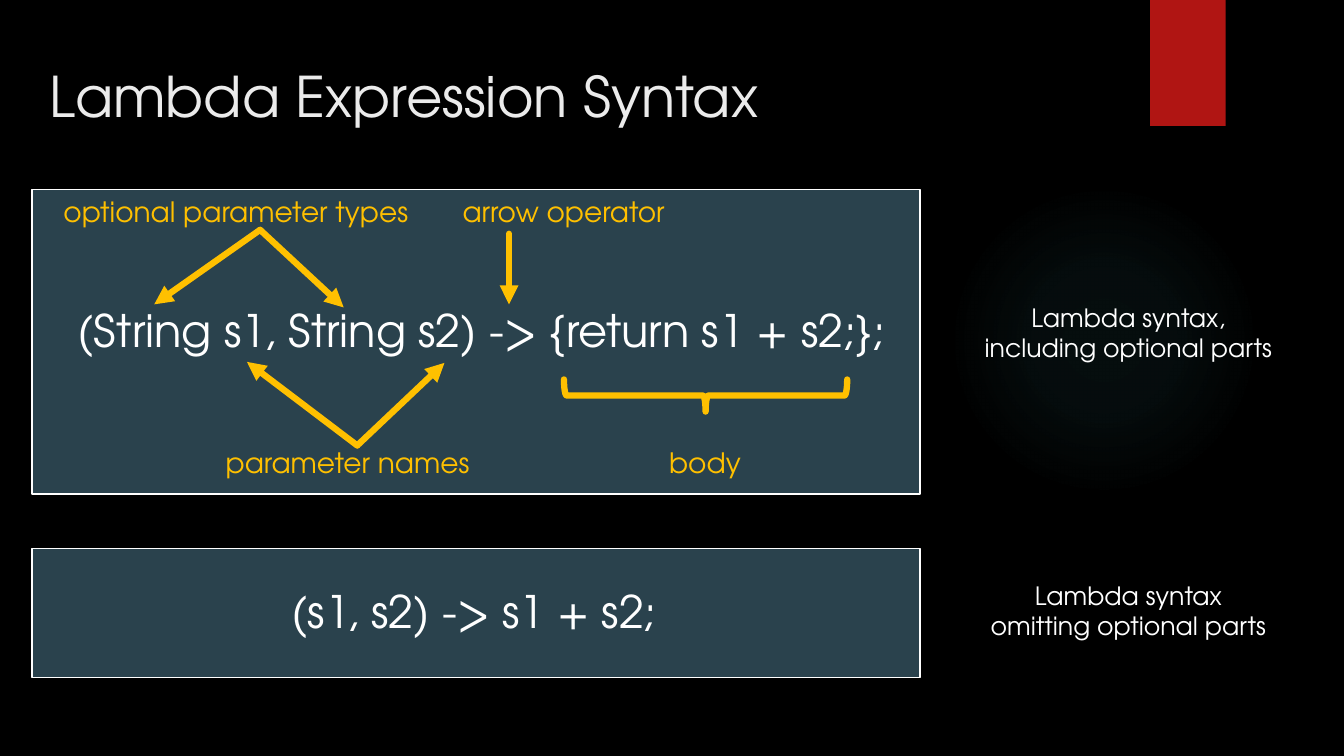
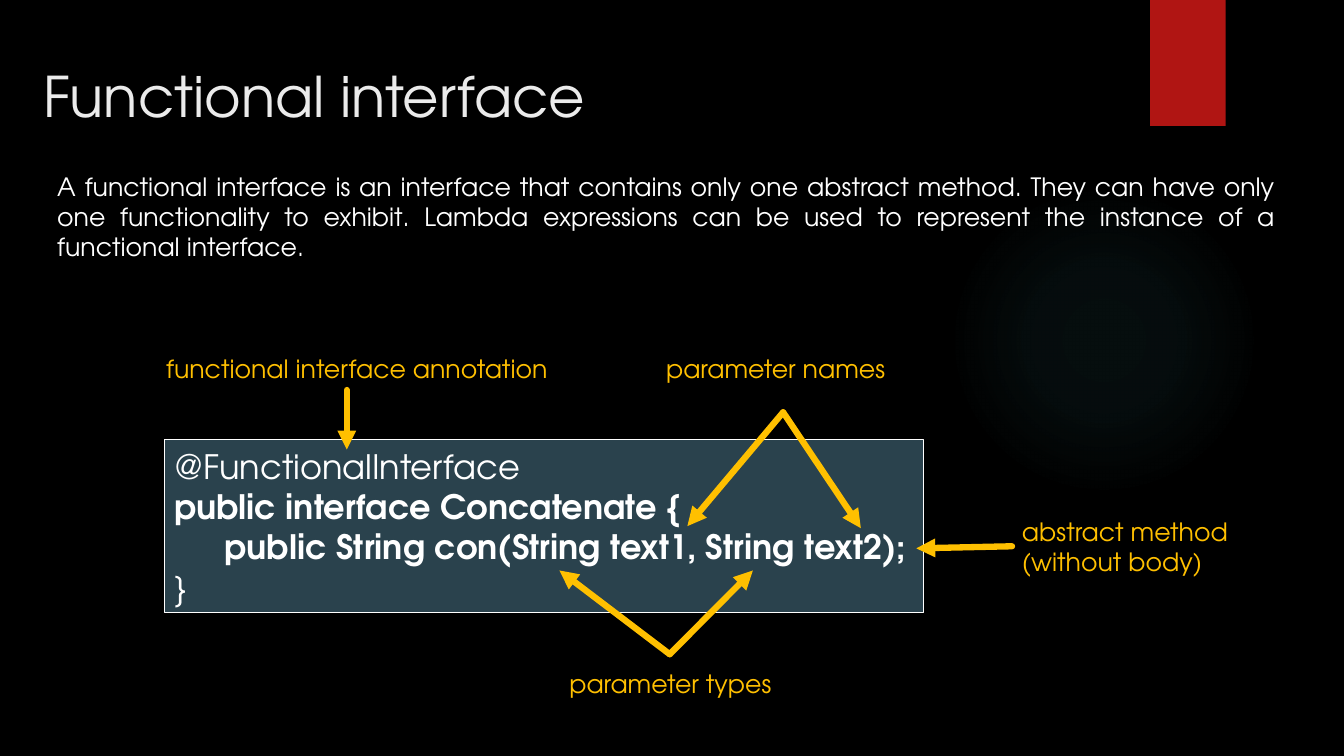
from lxml import etree
from pptx import Presentation
from pptx.dml.color import RGBColor
from pptx.enum.shapes import MSO_CONNECTOR, MSO_SHAPE
from pptx.enum.text import MSO_ANCHOR, MSO_AUTO_SIZE, PP_ALIGN
from pptx.oxml import parse_xml
from pptx.oxml.ns import nsdecls, qn
from pptx.util import Pt

RECT, OVAL, BRACE = MSO_SHAPE.RECTANGLE, MSO_SHAPE.OVAL, MSO_SHAPE.RIGHT_BRACE
STRAIGHT = MSO_CONNECTOR.STRAIGHT
LEFT, CENTER, JUSTIFY = PP_ALIGN.LEFT, PP_ALIGN.CENTER, PP_ALIGN.JUSTIFY
TOP, MIDDLE = MSO_ANCHOR.TOP, MSO_ANCHOR.MIDDLE
NO_FIT = MSO_AUTO_SIZE.NONE

FONT = "TeX Gyre Adventor"
BLACK, WHITE, TITLE = "000000", "FFFFFF", "EBEBEB"
RED, SLATE, AMBER, TEAL = "B01513", "2A424D", "FFC000", "50B9C1"
STROKE = 4.5
CODE_INDENT = 36

GLOW = (677.5, 131.8, 221.8, 221.8)
GLOW_STOPS = [(0, 7), (36, 6), (69, 0)]  # position %, opacity %
RIBBON = (821.5, 0, 54, 90)

# Boxes are (left, top, width, height).
# Texts are (text, box, size, colour, alignment).
# Code lines are (text, bold, indent level).
# Arrows are (start, [targets]).
SLIDES = [
    {
        "title": ("Lambda Expression Syntax", (28, 36, 795.6, 63.4)),
        "panels": [
            ((23, 391.7, 634.3, 92.2), []),
            ((23, 135.4, 634.3, 217.4), []),
        ],
        "texts": [
            ("(String s1, String s2) -> {return s1 + s2;};",
             (48.2, 212.4, 663.1, 46), 32, WHITE, LEFT),
            ("(s1, s2) -> s1 + s2;",
             (200.9, 413.3, 279.4, 46), 32, WHITE, LEFT),
            ("optional parameter types",
             (38.2, 135.4, 275, 31.7), 20, AMBER, LEFT),
            ("arrow operator", (323.3, 135.4, 216.7, 31.7), 20, AMBER, LEFT),
            ("parameter names", (154.1, 314.6, 215.3, 31.7), 20, AMBER, LEFT),
            ("body", (470.9, 314.6, 79.2, 31.7), 20, AMBER, LEFT),
            ("Lambda syntax, including optional parts",
             (695.5, 212.4, 221, 72.7), 18, WHITE, CENTER),
            ("Lambda syntax omitting optional parts",
             (695.5, 411.1, 221, 72.7), 18, WHITE, CENTER),
        ],
        "arrows": [
            ((185.8, 164.2), [(110.2, 217.4), (245.5, 219.6)]),
            ((255.2, 318.2), [(176.4, 258.5), (317.5, 259.2)]),
            ((363.6, 167), [(363.6, 217.4)]),
        ],
        "braces": [(492.5, 181.4, 23, 202.3)],
    },
    {
        "title": ("Functional interface", (23.8, 36, 809.3, 63.4)),
        "panels": [
            ((117.4, 313.9, 542.2, 123.8), [
                ("@FunctionalInterface", False, 0),
                ("public interface Concatenate {", True, 0),
                ("public String con(String text1, String text2);", True, 1),
                ("}", False, 0),
            ]),
        ],
        "texts": [
            ("A functional interface is an interface that contains only one "
             "abstract method. They can have only one functionality to "
             "exhibit. Lambda expressions can be used to represent the "
             "instance of a functional interface.",
             (33.8, 118.8, 884.2, 72.7), 18, WHITE, JUSTIFY),
            ("abstract method (without body)",
             (722.9, 365, 173.5, 51.1), 18, AMBER, LEFT),
            ("functional interface annotation",
             (111.6, 249.1, 301, 28.8), 18, AMBER, LEFT),
            ("parameter names", (468.7, 249.1, 178.6, 28.8), 18, AMBER, LEFT),
            ("parameter types", (399.6, 473.8, 160.6, 28.8), 18, AMBER, LEFT),
        ],
        "arrows": [
            ((478.4, 467.3), [(399.6, 407.5), (537.8, 407.5)]),
            ((559.4, 294.5), [(491, 375.8), (614.9, 377.3)]),
            ((247.7, 278.6), [(247.7, 321.1)]),
            ((722.9, 390.2), [(654.5, 391.7)]),
        ],
        "braces": [],
    },
]


def rgb(color):
    """Turn a hex string into a colour."""
    return RGBColor.from_string(color)


def points(values):
    """Turn numbers into lengths in points."""
    return [Pt(v) for v in values]


def style(p, size, color, align=LEFT, bold=False):
    """Set the font and alignment of a paragraph."""
    p.alignment = align
    p.font.name, p.font.size, p.font.bold = FONT, Pt(size), bold
    p.font.color.rgb = rgb(color)


def add_shape(slide, kind, box, fill=None, line=None, width=1):
    """Add a flat preset shape."""
    sp = slide.shapes.add_shape(kind, *points(box))
    sp.shadow.inherit = False
    if fill:
        sp.fill.solid()
        sp.fill.fore_color.rgb = rgb(fill)
    else:
        sp.fill.background()
    if line:
        sp.line.color.rgb = rgb(line)
        sp.line.width = Pt(width)
    else:
        sp.line.fill.background()
    return sp


def round_ends(sp):
    """Give an outline round caps and return its XML element."""
    ln = sp._element.spPr.find(qn("a:ln"))
    ln.set("cap", "rnd")
    return ln


def decorate(layout, slide):
    """Move the glow and the ribbon into the layout, behind its title."""
    glow = add_shape(slide, OVAL, GLOW)
    stops = "".join(
        f'<a:gs pos="{pos * 1000}"><a:srgbClr val="{TEAL}">'
        f'<a:alpha val="{alpha * 1000}"/></a:srgbClr></a:gs>'
        for pos, alpha in GLOW_STOPS)
    gradient = parse_xml(
        f'<a:gradFill {nsdecls("a")}><a:gsLst>{stops}</a:gsLst>'
        '<a:path path="circle"><a:fillToRect l="50000" t="50000" '
        'r="50000" b="50000"/></a:path></a:gradFill>')
    props = glow._element.spPr
    props.replace(props.find(qn("a:noFill")), gradient)
    ribbon = add_shape(slide, RECT, RIBBON, RED)
    for i, sp in enumerate((glow, ribbon)):
        layout.shapes._spTree.insert(2 + i, sp._element)


def add_title(slide, text, box):
    """Place and format the title placeholder."""
    sp = slide.shapes.title
    sp.left, sp.top, sp.width, sp.height = points(box)
    tf = sp.text_frame
    tf.text = text
    tf.auto_size, tf.vertical_anchor = NO_FIT, MIDDLE
    style(tf.paragraphs[0], 40, TITLE)


def add_panel(slide, box, code):
    """Add a bordered panel with optional lines of code."""
    tf = add_shape(slide, RECT, box, SLATE, WHITE).text_frame
    tf.word_wrap, tf.vertical_anchor = True, MIDDLE
    for i, (text, bold, level) in enumerate(code):
        p = tf.add_paragraph() if i else tf.paragraphs[0]
        p.text = text
        style(p, 24, WHITE, LEFT, bold)
        if level:
            p._p.get_or_add_pPr().set("marL", str(Pt(level * CODE_INDENT)))


def add_text(slide, text, box, size, color, align):
    """Add a wrapped text box."""
    tf = slide.shapes.add_textbox(*points(box)).text_frame
    tf.word_wrap, tf.vertical_anchor = True, TOP
    p = tf.paragraphs[0]
    p.text = text
    style(p, size, color, align)


def add_arrow(slide, start, end):
    """Add a thick arrow with its head at the end point."""
    sp = slide.shapes.add_connector(STRAIGHT, *points(start + end))
    sp.line.color.rgb = rgb(AMBER)
    sp.line.width = Pt(STROKE)
    etree.SubElement(round_ends(sp), qn("a:tailEnd"), type="triangle")
    etree.SubElement(sp._element.spPr, qn("a:effectLst"))


def add_brace(slide, box):
    """Add a brace that points down."""
    sp = add_shape(slide, BRACE, box, None, AMBER, STROKE)
    sp.rotation = 90
    round_ends(sp)


def build(slide, content):
    """Fill one slide from its content."""
    add_title(slide, *content["title"])
    for box, code in content["panels"]:
        add_panel(slide, box, code)
    for text in content["texts"]:
        add_text(slide, *text)
    for start, targets in content["arrows"]:
        for end in targets:
            add_arrow(slide, start, end)
    for box in content["braces"]:
        add_brace(slide, box)


def main():
    """Build and save the presentation."""
    prs = Presentation()
    prs.slide_width, prs.slide_height = Pt(960), Pt(540)
    fill = prs.slide_master.background.fill
    fill.solid()
    fill.fore_color.rgb = rgb(BLACK)
    layout = prs.slide_layouts.get_by_name("Title Only")
    slides = [prs.slides.add_slide(layout) for _ in SLIDES]
    decorate(layout, slides[0])
    for slide, content in zip(slides, SLIDES):
        build(slide, content)
    prs.save("out.pptx")


main()
